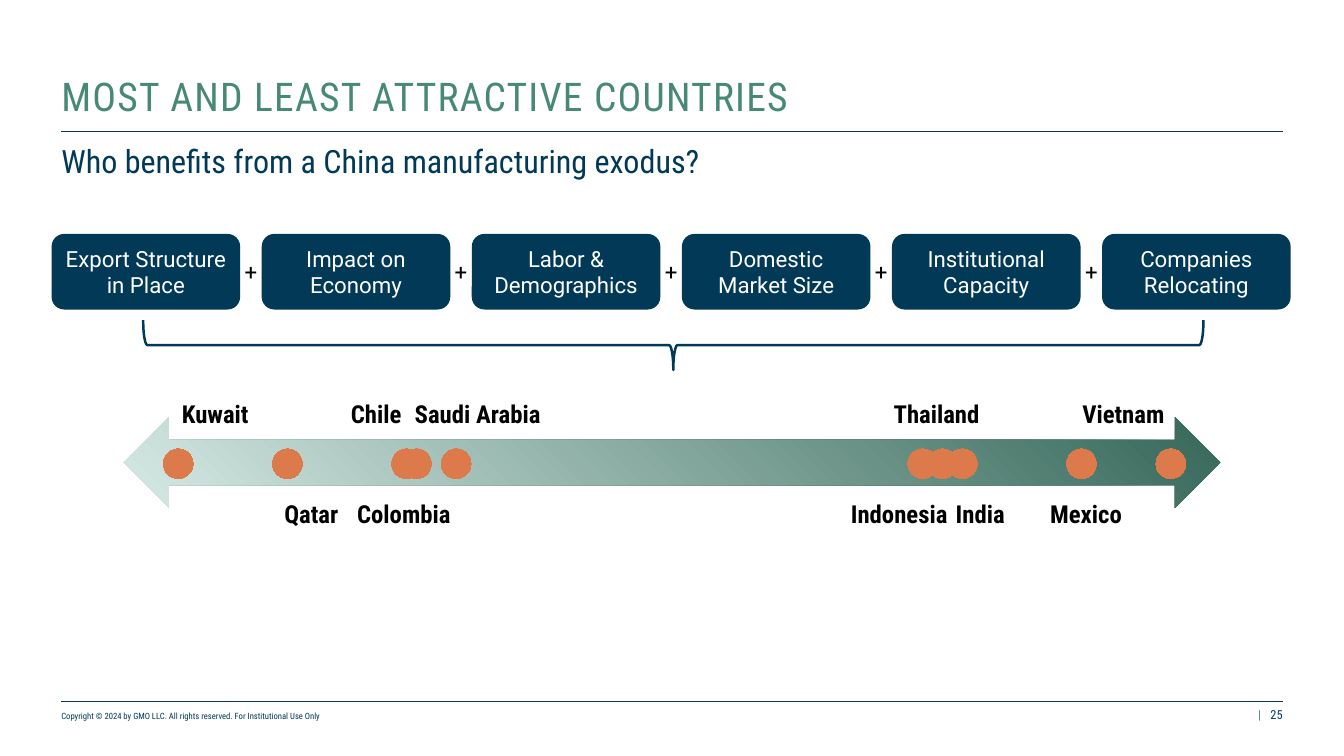
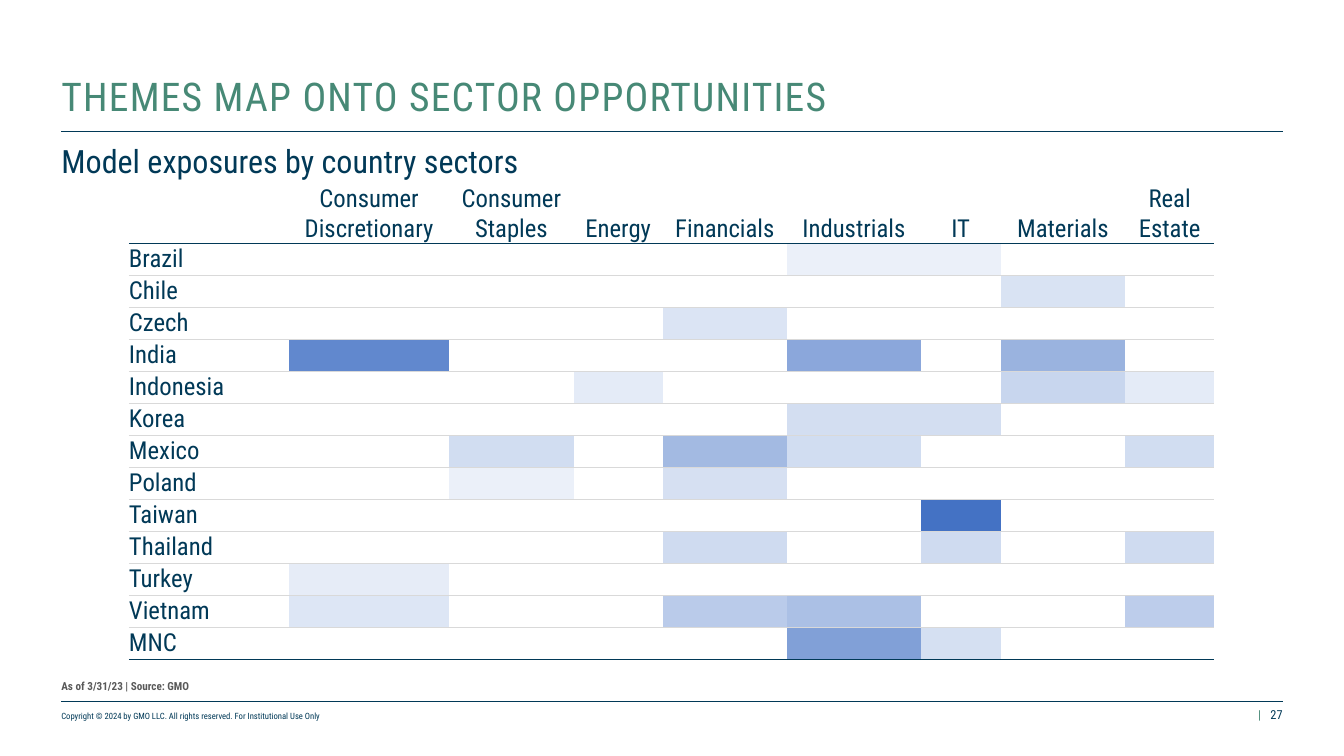
"""Build two slides on the countries and sectors that gain from a manufacturing shift."""
from lxml import etree
from pptx import Presentation
from pptx import util as u
from pptx.chart.data import XyChartData
from pptx.dml.color import RGBColor
from pptx.enum import chart as ec, shapes, text
from pptx.oxml import parse_xml
from pptx.oxml.ns import nsdecls, qn

hue = RGBColor.from_string
inch = u.Inches
NAVY, GREEN, ORANGE = "013957", "478976", "DC7A4B"
WHITE, BLACK, GREY, PALE = "FFFFFF", "000000", "595959", "D9D9D9"
SANS, SLIM = "Roboto", "Roboto Condensed"
LEFT, MID, RIGHT = text.PP_ALIGN.LEFT, text.PP_ALIGN.CENTER, text.PP_ALIGN.RIGHT
TOP, CORE, LOW = text.MSO_ANCHOR.TOP, text.MSO_ANCHOR.MIDDLE, text.MSO_ANCHOR.BOTTOM
EDGE, SPAN = 0.69, 13.73


def put(frame, words, size=20, color=NAVY, face=SLIM, bold=False,
        align=LEFT, anchor=TOP, inset=0):
    """Write words into a text frame; with no anchor, leave the frame itself alone."""
    if anchor is not None:
        frame.word_wrap = True
        frame.auto_size = text.MSO_AUTO_SIZE.NONE
        frame.vertical_anchor = anchor
        frame.margin_left = frame.margin_right = inch(inset)
        frame.margin_top = frame.margin_bottom = inch(inset / 2)
    para = frame.paragraphs[0]
    para.text = words
    para.alignment = align
    for run in para.runs:
        font = run.font
        font.size, font.name, font.bold = u.Pt(size), face, bold
        font.color.rgb = hue(color)


def box(page, x, y, w, h, words, **look):
    """Add a text box, sized in inches."""
    area = page.shapes.add_textbox(inch(x), inch(y), inch(w), inch(h))
    put(area.text_frame, words, **look)


deck = Presentation()
deck.slide_width, deck.slide_height = inch(15.11), inch(8.5)

heads = [
    ("MOST AND LEAST ATTRACTIVE COUNTRIES",
     "Who benefits from a China manufacturing exodus?", "25"),
    ("THEMES MAP ONTO SECTOR OPPORTUNITIES",
     "Model exposures by country sectors", "27"),
]
pages = []
for name, lead, num in heads:
    page = deck.slides.add_slide(deck.slide_layouts[5])
    pages.append(page)
    title = page.shapes.title
    title.left, title.top = inch(EDGE), inch(0.5)
    title.width, title.height = inch(SPAN), inch(0.85)
    put(title.text_frame, name, size=32, color=GREEN, anchor=LOW)
    para = title.text_frame.paragraphs[0]
    para.line_spacing = 0.9
    para.runs[0].font._element.set("spc", "100")
    box(page, EDGE, 1.59, SPAN, 0.45, lead, size=26)
    for y, thick in ((1.48, 1), (7.88, 0.5)):
        rule = page.shapes.add_connector(
            shapes.MSO_CONNECTOR.STRAIGHT, inch(EDGE), inch(y), inch(EDGE + SPAN), inch(y))
        rule.line.color.rgb = hue(NAVY)
        rule.line.width = u.Pt(thick)
        etree.SubElement(rule._element.spPr, qn("a:effectLst"))
    box(page, EDGE, 7.96, 7.1, 0.15,
        "Copyright © 2024 by GMO LLC. All rights reserved. For Institutional Use Only",
        size=7, anchor=LOW)
    box(page, 14.1, 7.95, 0.12, 0.17, "|", size=10, color=GREEN, align=MID, anchor=LOW)
    box(page, 11.02, 7.95, 3.4, 0.17, num, size=10, align=RIGHT, anchor=LOW)

rank, heat = pages

cards = ["Export Structure in Place", "Impact on Economy", "Labor & Demographics",
         "Domestic\vMarket Size", "Institutional Capacity", "Companies Relocating"]
start, end, wide = 0.58, 14.51, 2.12
step = (end - start - wide) / (len(cards) - 1)
gap = step - wide
for i, words in enumerate(cards):
    x = start + i * step
    card = rank.shapes.add_shape(shapes.MSO_SHAPE.ROUNDED_RECTANGLE,
                                 inch(x), inch(2.63), inch(wide), inch(0.85))
    card.shadow.inherit = False
    card.fill.solid()
    card.fill.fore_color.rgb = hue(NAVY)
    card.line.fill.background()
    put(card.text_frame, words, size=18, color=WHITE, face=SANS,
        align=MID, anchor=CORE, inset=0.1)
    if i:
        box(rank, x - gap, 2.85, gap, 0.4, "+", size=18, color=BLACK, face=SANS,
            align=MID, anchor=CORE)

brace = rank.shapes.add_shape(shapes.MSO_SHAPE.LEFT_BRACE,
                              inch(7.29), inch(-2.08), inch(0.56), inch(11.92))
brace.rotation = 270
brace.shadow.inherit = False
brace.fill.background()
brace.line.color.rgb = hue(NAVY)
brace.line.width = u.Pt(2)

arrow = rank.shapes.add_shape(shapes.MSO_SHAPE.LEFT_RIGHT_ARROW,
                              inch(1.39), inch(4.69), inch(12.33), inch(1.02))
arrow.shadow.inherit = False
arrow.line.fill.background()
arrow.fill.gradient()
for stop, tone in zip(arrow.fill.gradient_stops, ("D7EAE5", "356759")):
    stop.color.rgb = hue(tone)
blend = arrow._element.spPr.find(qn("a:gradFill"))
blend.replace(blend.find(qn("a:lin")), parse_xml(
    f'<a:path {nsdecls("a")} path="circle">'
    '<a:fillToRect t="100000" r="100000"/></a:path>'))

data = XyChartData()
dots = data.add_series("Series 1")
for x in [1, 0.91, 0.79, 0.77, 0.75] + [None] * 15 + [0.28, 0.24, 0.23, 0.11, 0]:
    dots.add_data_point(x, None if x is None else 0)
chart = rank.shapes.add_chart(ec.XL_CHART_TYPE.XY_SCATTER, inch(1.63), inch(4.23),
                              inch(11.7), inch(1.97), data).chart
chart.has_legend = chart.has_title = False
chart.font.size, chart.font.name = u.Pt(10), SANS
chart.font.color.rgb = hue(BLACK)
for axis, low, high in ((chart.category_axis, 0, 1), (chart.value_axis, -10, 10)):
    axis.minimum_scale, axis.maximum_scale = low, high
    axis.has_major_gridlines = False
    axis.visible = False
chart.plots[0].vary_by_categories = False
line = chart.plots[0].series[0]
line.smooth = False
line.format.line.fill.background()
mark = line.marker
mark.style, mark.size = ec.XL_MARKER_STYLE.CIRCLE, 24
mark.format.fill.solid()
mark.format.fill.fore_color.rgb = hue(ORANGE)
mark.format.line.fill.background()

clear = f'<c:spPr {nsdecls("c", "a")}><a:noFill/><a:ln><a:noFill/></a:ln></c:spPr>'
root = chart._chartSpace
root.find(qn("c:chart")).addnext(parse_xml(clear))
for point in list(root.iter(qn("c:pt"))):
    if point.find(qn("c:v")).text in (None, "", "None"):
        point.getparent().remove(point)
plot = root.find(".//" + qn("c:plotArea"))
plot.append(parse_xml(clear))
for old in plot.findall(qn("c:layout")):
    plot.remove(old)
sides = "".join(f'<c:{key} val="{val}"/>' for key, val in (
    ("layoutTarget", "inner"), ("xMode", "edge"), ("yMode", "edge"),
    ("x", 0.032), ("y", 0.051), ("w", 0.954), ("h", 0.898)))
plot.insert(0, parse_xml(f'<c:layout {nsdecls("c")}><c:manualLayout>{sides}'
                         '</c:manualLayout></c:layout>'))

names = {
    4.43: [("Kuwait", 2.42), ("Chile", 4.23), ("Saudi Arabia", 5.37),
           ("Thailand", 10.53), ("Vietnam", 12.63)],
    5.56: [("Qatar", 3.5), ("Colombia", 4.54), ("Indonesia", 10.11),
           ("India", 11.02), ("Mexico", 12.21)],
}
for y, row in names.items():
    for land, x in row:
        box(rank, x - 0.85, y, 1.7, 0.44, land, color=BLACK, bold=True,
            align=MID, anchor=CORE)

box(heat, EDGE, 7.26, SPAN, 0.53, "As of 3/31/23 | Source: GMO",
    size=9, color=GREY, bold=True, anchor=LOW)

tops = ["", "Consumer Discretionary", "Consumer\vStaples", "Energy", "Financials",
        "Industrials", "IT", "Materials", "Real Estate"]
lands = [
    ("Brazil", {5: "EBF0F9", 6: "EBF0F9"}),
    ("Chile", {7: "D9E3F3"}),
    ("Czech", {4: "DBE4F4"}),
    ("India", {1: "6188CE", 5: "8BA7DB", 7: "9AB3DF"}),
    ("Indonesia", {3: "E4EBF7", 7: "C8D6EE", 8: "E4EBF7"}),
    ("Korea", {5: "D3DEF1", 6: "D3DEF1"}),
    ("Mexico", {2: "D1DDF1", 4: "A3BAE2", 5: "D1DDF1", 8: "D1DDF1"}),
    ("Poland", {2: "EBF0F9", 4: "D6E0F2"}),
    ("Taiwan", {6: "4472C4"}),
    ("Thailand", {4: "CFDBF0", 6: "CFDBF0", 8: "CFDBF0"}),
    ("Turkey", {1: "E6ECF7"}),
    ("Vietnam", {1: "DDE6F5", 4: "BACBEA", 5: "ABC0E5", 8: "BDCDEB"}),
    ("MNC", {5: "81A0D7", 6: "D5E0F2"}),
]
cols = [1.8, 1.8, 1.4, 1, 1.4, 1.5, 0.9, 1.4, 1]
last = len(lands)
table = heat.shapes.add_table(last + 1, len(cols), inch(1.45), inch(2.08),
                              inch(sum(cols)), inch(0.65 + 0.36 * last)).table
table.first_row = table.horz_banding = False
table._tbl.tblPr.find(qn("a:tableStyleId")).text = "{2D5ABB26-0587-4C30-8999-92F81FD0307C}"
for col, size in zip(table.columns, cols):
    col.width = inch(size)
for r, (land, tones) in enumerate([("", {})] + lands):
    table.rows[r].height = inch(0.36 if r else 0.65)
    for c, top in enumerate(tops):
        cell = table.cell(r, c)
        cell.margin_left = cell.margin_right = cell.margin_top = cell.margin_bottom = 0
        cell.vertical_anchor = CORE if r else LOW
        words = top if r == 0 else land if c == 0 else ""
        if words:
            put(cell.text_frame, words, align=LEFT if r else MID, anchor=None)
        cell.fill.solid()
        cell.fill.fore_color.rgb = hue(tones.get(c, WHITE))
        edges = [("lnT", r - 1), ("lnB", r)] if r else [("lnB", r)]
        for i, (side, rule) in enumerate(edges):
            tone, thick = (NAVY, 1) if rule in (0, last) else (PALE, 0.75)
            cell._tc.tcPr.insert(i, parse_xml(
                f'<a:{side} {nsdecls("a")} w="{u.Pt(thick)}"><a:solidFill>'
                f'<a:srgbClr val="{tone}"/></a:solidFill></a:{side}>'))

deck.save("out.pptx")
